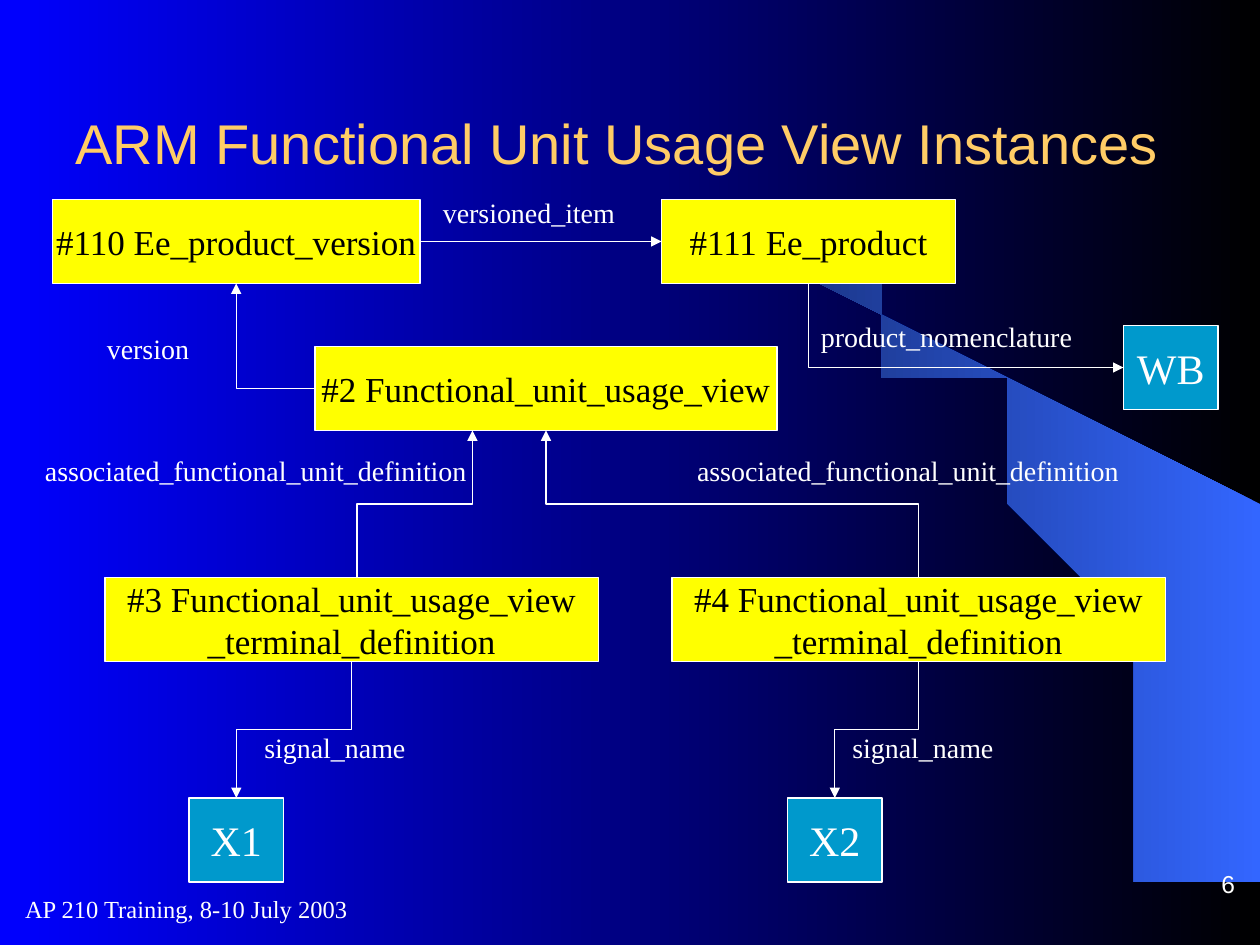
"""Build the slide of functional unit usage view instances."""
from dataclasses import dataclass

from lxml import etree
from pptx import Presentation
from pptx.dml.color import RGBColor
from pptx.enum import shapes, text
from pptx.oxml import ns
from pptx import util as u


@dataclass(frozen=True)
class Theme:
    """Colours, fonts and type sizes of the slide."""
    black: str = "000000"
    white: str = "FFFFFF"
    blue: str = "0000FF"
    gold: str = "FFCC66"
    item: str = "FFFF00"
    value: str = "0099CC"
    swoosh: tuple = ("3366FF", "19327E")
    serif: str = "Times New Roman"
    sans: str = "Arial"
    head: int = 32
    big: int = 24
    body: int = 20
    label: int = 16
    small: int = 14
    rule: float = 0.75


T = Theme()
COLS, ROWS = 120, 90
UNIT = u.Inches(10) // COLS
HIGH = 8
SWOOSH = [
    (9.2, 7.48), (9.99, 7.49), (9.99, 4.23), (5.89, 1.73), (6.24, 1.99),
    (6.53, 2.22), (6.85, 2.5), (7.16, 2.8), (7.62, 3.3), (8.03, 3.84),
    (8.32, 4.31), (8.58, 4.79), (8.78, 5.28), (8.93, 5.72), (9.03, 6.09),
    (9.13, 6.56), (9.17, 6.96),
]


def grid(*cells):
    """Turn columns and rows into lengths."""
    return [u.Emu(round(c * UNIT)) for c in cells]


def rgb(code):
    """Return the colour of a hex code."""
    return RGBColor.from_string(code)


def blend(fill, first, last):
    """Fill with a gradient that runs from right to left."""
    fill.gradient()
    fill.gradient_angle = 180
    for stop, code in zip(fill.gradient_stops, (first, last)):
        stop.color.rgb = rgb(code)


def write(shape, words, size=T.label, color=T.white, font=T.serif,
          align=text.PP_ALIGN.LEFT, anchor=text.MSO_ANCHOR.MIDDLE, wrap=False):
    """Put formatted text in a shape."""
    frame = shape.text_frame
    frame.auto_size = text.MSO_AUTO_SIZE.NONE
    frame.word_wrap = wrap
    frame.vertical_anchor = anchor
    par = frame.paragraphs[0]
    par.text = words
    par.alignment = align
    for run in par.runs:
        run.font.size = u.Pt(size)
        run.font.name = font
        run.font.color.rgb = rgb(color)


def box(slide, words, col, row, wide, fill=T.item, **style):
    """Draw a box with centred text."""
    shape = slide.shapes.add_shape(
        shapes.MSO_SHAPE.RECTANGLE, *grid(col, row, wide, HIGH))
    shape.shadow.inherit = False
    shape.fill.solid()
    shape.fill.fore_color.rgb = rgb(fill)
    shape.line.color.rgb = rgb(T.white)
    shape.line.width = u.Pt(T.rule)
    write(shape, words, align=text.PP_ALIGN.CENTER, **style)
    return shape


def item(slide, words, col, row, wide):
    """Draw an entity instance."""
    return box(slide, words, col, row, wide, size=T.body, color=T.black)


def value(slide, words, col, row):
    """Draw an attribute value."""
    return box(slide, words, col, row, 9, fill=T.value, size=T.big)


def label(slide, words, col, row, wide, high=4.4, **style):
    """Place text without a frame."""
    area = slide.shapes.add_textbox(*grid(col, row, wide, high))
    write(area, words, **style)


def arrow(slide, kind, start, end):
    """Draw a thin white connector with an arrowhead at its end."""
    line = slide.shapes.add_connector(kind, *grid(*start, *end))
    line.line.color.rgb = rgb(T.white)
    line.line.width = u.Pt(T.rule)
    etree.SubElement(line.line._get_or_add_ln(), ns.qn("a:tailEnd"),
                     type="triangle")
    etree.SubElement(line._element.spPr, ns.qn("a:effectLst"))
    return line


def elbow(slide, start, end, corner=False, upright=True):
    """Draw a bent arrow with one corner or two, first going up or down."""
    line = arrow(slide, shapes.MSO_CONNECTOR.ELBOW, start, end)
    props = line._element.spPr
    if corner:
        props.find(ns.qn("a:prstGeom")).set("prst", "bentConnector2")
    if upright:
        dx, dy = end[0] - start[0], end[1] - start[1]
        wide, high = abs(dy), abs(dx)
        left = (start[0] + end[0] - wide) / 2
        top = (start[1] + end[1] - high) / 2
        line.left, line.top, line.width, line.height = grid(
            left, top, wide, high)
        form = props.find(ns.qn("a:xfrm"))
        form.set("rot", str((90 if dy > 0 else 270) * 60000))
        form.set("flipH", "0")
        form.set("flipV", "1" if dx * dy > 0 else "0")


def swoosh(slide):
    """Draw the curved wedge at the right."""
    pen = slide.shapes.build_freeform(*SWOOSH[0], scale=u.Inches(1))
    pen.add_line_segments(SWOOSH[1:], close=True)
    wedge = pen.convert_to_shape()
    wedge.shadow.inherit = False
    wedge.line.fill.background()
    blend(wedge.fill, *T.swoosh)


def title(slide, words):
    """Place and format the title."""
    head = slide.shapes.title
    head.left, head.top, head.width, head.height = grid(6, 6, 108, 15)
    write(head, words, size=T.head, color=T.gold, font=T.sans, wrap=True)


def main():
    """Build and save the slide."""
    deck = Presentation()
    deck.slide_width, deck.slide_height = grid(COLS, ROWS)
    slide = deck.slides.add_slide(deck.slide_layouts[5])
    blend(slide.background.fill, T.black, T.blue)
    swoosh(slide)
    title(slide, "ARM Functional Unit Usage View Instances")

    item(slide, "#2 Functional_unit_usage_view", 30, 33, 44)
    for num, col in ((3, 10), (4, 64)):
        item(slide, f"#{num} Functional_unit_usage_view\n_terminal_definition",
             col, 55, 47)
    edition = item(slide, "#110 Ee_product_version", 5, 19, 35)
    product = item(slide, "#111 Ee_product", 63, 19, 28)
    for words, col, row in (("X1", 18, 76), ("X2", 75, 76), ("WB", 107, 31)):
        value(slide, words, col, row)

    join = arrow(slide, shapes.MSO_CONNECTOR.STRAIGHT, (40, 23), (63, 23))
    join.begin_connect(edition, 3)
    join.end_connect(product, 1)
    elbow(slide, (30, 37), (22.5, 27), corner=True, upright=False)
    elbow(slide, (77, 27), (107, 35), corner=True)
    for start, end in (((34, 55), (45, 41)), ((87.5, 55), (52, 41)),
                       ((33.5, 63), (22.5, 76)), ((87.5, 63), (79.5, 76))):
        elbow(slide, start, end)

    label(slide, "versioned_item", 41, 18, 18.7)
    label(slide, "version", 9, 31, 10.2)
    label(slide, "product_nomenclature", 77, 29.8, 26.3)
    for col in (3.1, 65.2):
        label(slide, "associated_functional_unit_definition", col, 42.6, 42.6)
    for col in (24, 80):
        label(slide, "signal_name", col, 69, 15.8)
    label(slide, "AP 210 Training, 8-10 July 2003", 1.2, 83.5, 56, 6,
          size=T.small, wrap=True)
    label(slide, "6", 94.2, 80.6, 24.6, 5.6, size=T.small, font=T.sans,
          align=text.PP_ALIGN.RIGHT, anchor=text.MSO_ANCHOR.BOTTOM, wrap=True)
    deck.save("out.pptx")


if __name__ == "__main__":
    main()
